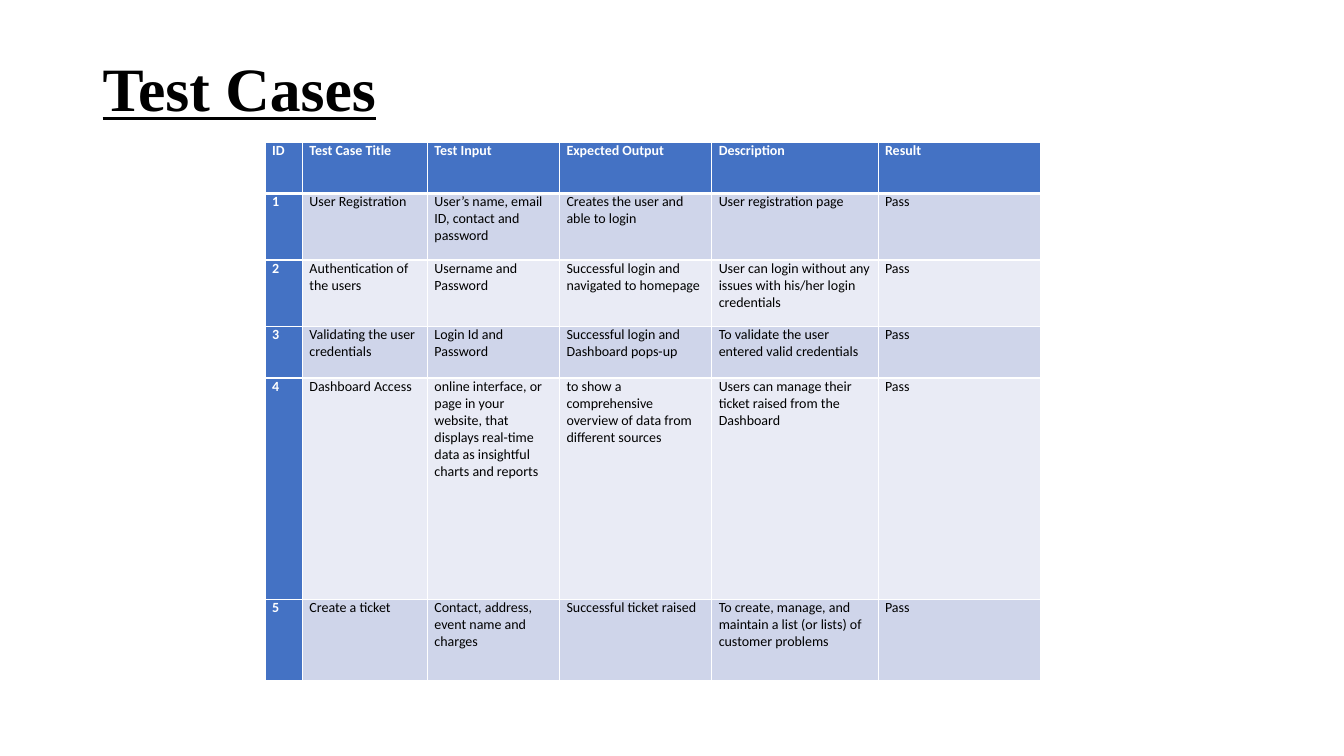
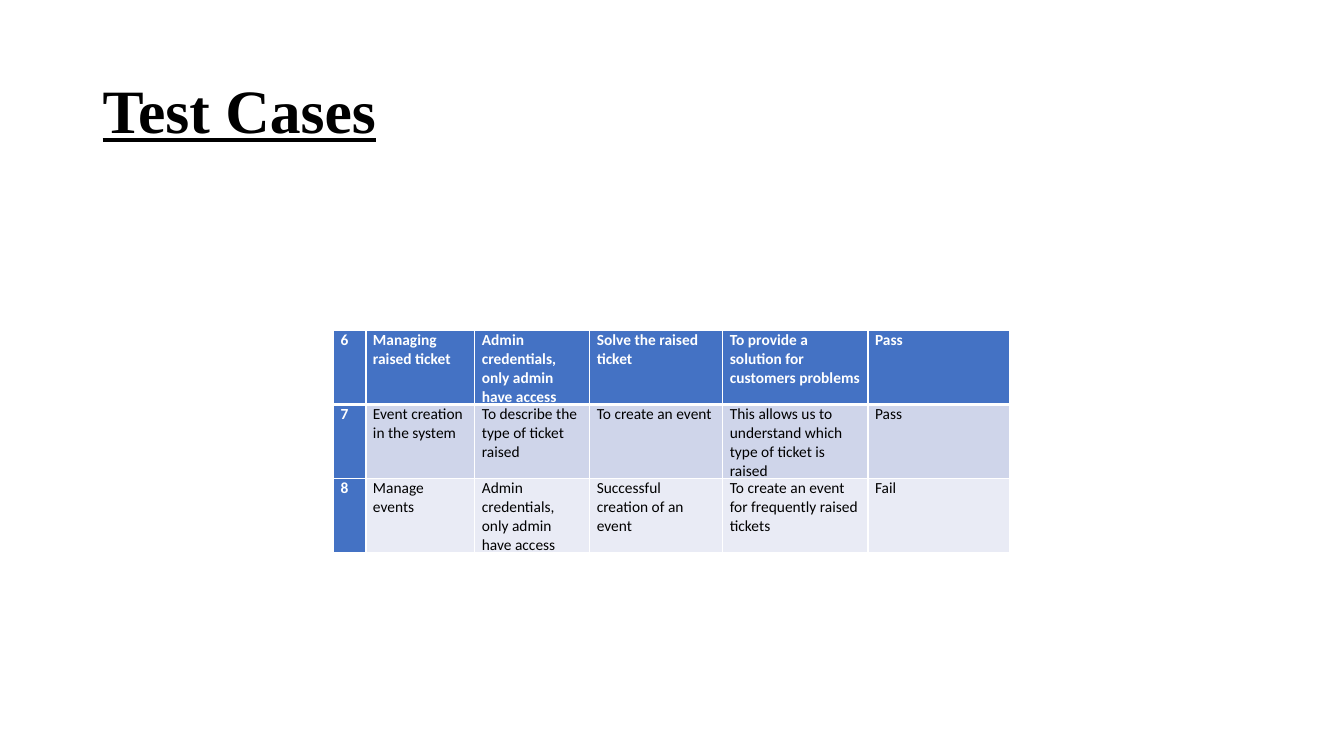
from lxml import etree
from pptx import Presentation
from pptx.dml.color import RGBColor
from pptx.enum.text import MSO_ANCHOR
from pptx.oxml.ns import qn
from pptx.util import Inches, Pt

MIDDLE = MSO_ANCHOR.MIDDLE
TOP = MSO_ANCHOR.TOP
BLUE = "4472C4"
WHITE = "FFFFFF"
BLACK = "000000"
BANDS = ("CFD5EA", "E9EBF5")
TITLE_FORMAT = {"name": "Times New Roman", "size": Pt(44), "bold": True, "underline": True}
CELL_MARGINS = {
    "margin_left": Inches(0.07),
    "margin_right": Inches(0.07),
    "margin_top": 0,
    "margin_bottom": 0,
    "vertical_anchor": TOP,
}

FIRST_CASES = [
    ["ID", "Test Case Title", "Test Input", "Expected Output", "Description", "Result"],
    ["1", "User Registration", "User’s name, email ID, contact and password",
     "Creates the user and able to login", "User registration page", "Pass"],
    ["2", "Authentication of the users", "Username and Password",
     "Successful login and navigated to homepage",
     "User can login without any issues with his/her login credentials", "Pass"],
    ["3", "Validating the user credentials", "Login Id and Password",
     "Successful login and Dashboard pops-up",
     "To validate the user entered valid credentials", "Pass"],
    ["4", "Dashboard Access",
     "online interface, or page in your website, that displays real-time data "
     "as insightful charts and reports",
     "to show a comprehensive overview of data from different sources",
     "Users can manage their ticket raised from the Dashboard", "Pass"],
    ["5", "Create a ticket", "Contact, address, event name and charges",
     "Successful ticket raised",
     "To create, manage, and maintain a list (or lists) of customer problems", "Pass"],
]
LAST_CASES = [
    ["6", "Managing raised ticket", "Admin credentials, only admin have access",
     "Solve the raised ticket", "To provide a solution for customers problems", "Pass"],
    ["7", "Event creation in the system", "To describe the type of ticket raised",
     "To create an event", "This allows us to understand which type of ticket is raised", "Pass"],
    ["8", "Manage events", "Admin credentials, only admin have access",
     "Successful creation of an event", "To create an event for frequently raised tickets", "Fail"],
]


def color(hex_value):
    """Turn a hex string into a colour."""
    return RGBColor.from_string(hex_value)


def apply_format(target, values):
    """Set each attribute in values on the target."""
    for name, value in values.items():
        setattr(target, name, value)


def write_text(paragraph, text, font_format, hex_value):
    """Add one formatted run to a paragraph."""
    run = paragraph.add_run()
    run.text = text
    apply_format(run.font, font_format)
    run.font.color.rgb = color(hex_value)


def add_title(slide, text, height):
    """Add the slide title, centred vertically in its box."""
    shape = slide.shapes.add_textbox(Inches(0.92), Inches(0.4), Inches(11.5), Inches(height))
    apply_format(shape.text_frame, {"word_wrap": True, "vertical_anchor": MIDDLE})
    paragraph = shape.text_frame.paragraphs[0]
    paragraph.line_spacing = 0.9
    write_text(paragraph, text, TITLE_FORMAT, BLACK)


def add_borders(cell, widths):
    """Draw white cell borders with the given point widths by side."""
    properties = cell._tc.get_or_add_tcPr()
    for side, width in widths.items():
        line = etree.SubElement(properties, qn(f"a:ln{side}"), w=str(Pt(width)))
        fill = etree.SubElement(line, qn("a:solidFill"))
        etree.SubElement(fill, qn("a:srgbClr"), val=WHITE)


def style_cell(cell, text, row, column, size):
    """Fill and write a cell according to its place in the table."""
    strong = row == 0 or column == 0
    apply_format(cell, CELL_MARGINS)
    add_borders(cell, {"L": 1, "R": 1, "T": 3 if row == 1 else 1, "B": 3 if row == 0 else 1})
    cell.fill.solid()
    cell.fill.fore_color.rgb = color(BLUE if strong else BANDS[(row - 1) % 2])
    font_format = {"name": "Calibri", "size": Pt(size), "bold": strong}
    write_text(cell.text_frame.paragraphs[0], text, font_format, WHITE if strong else BLACK)


def add_case_table(slide, cases, left, top, widths, heights, size):
    """Add a table of test cases with a strong first row and column."""
    frame = slide.shapes.add_table(
        len(cases), len(widths), Inches(left), Inches(top),
        Inches(sum(widths)), Inches(sum(heights)))
    table = frame.table
    apply_format(table, {"first_col": True, "horz_banding": False})
    for column, width in zip(table.columns, widths):
        column.width = Inches(width)
    for row, height in zip(table.rows, heights):
        row.height = Inches(height)
    for row, texts in enumerate(cases):
        for column, text in enumerate(texts):
            style_cell(table.cell(row, column), text, row, column, size)


def main():
    """Build and save the presentation."""
    presentation = Presentation()
    presentation.slide_width = Inches(13.33)
    presentation.slide_height = Inches(7.5)
    blank = presentation.slide_layouts[6]

    slide = presentation.slides.add_slide(blank)
    add_title(slide, "Test Cases", 1.02)
    add_case_table(slide, FIRST_CASES, 2.63, 1.41, [0.37, 1.24, 1.31, 1.51, 1.65, 1.61],
                   [0.51, 0.66, 0.66, 0.51, 2.2, 0.8], 10)

    slide = presentation.slides.add_slide(blank)
    add_title(slide, "Test Cases", 1.45)
    add_case_table(slide, LAST_CASES, 3.31, 3.28, [0.32, 1.08, 1.14, 1.32, 1.44, 1.4],
                   [0.73] * len(LAST_CASES), 11)

    presentation.save("out.pptx")


if __name__ == "__main__":
    main()
